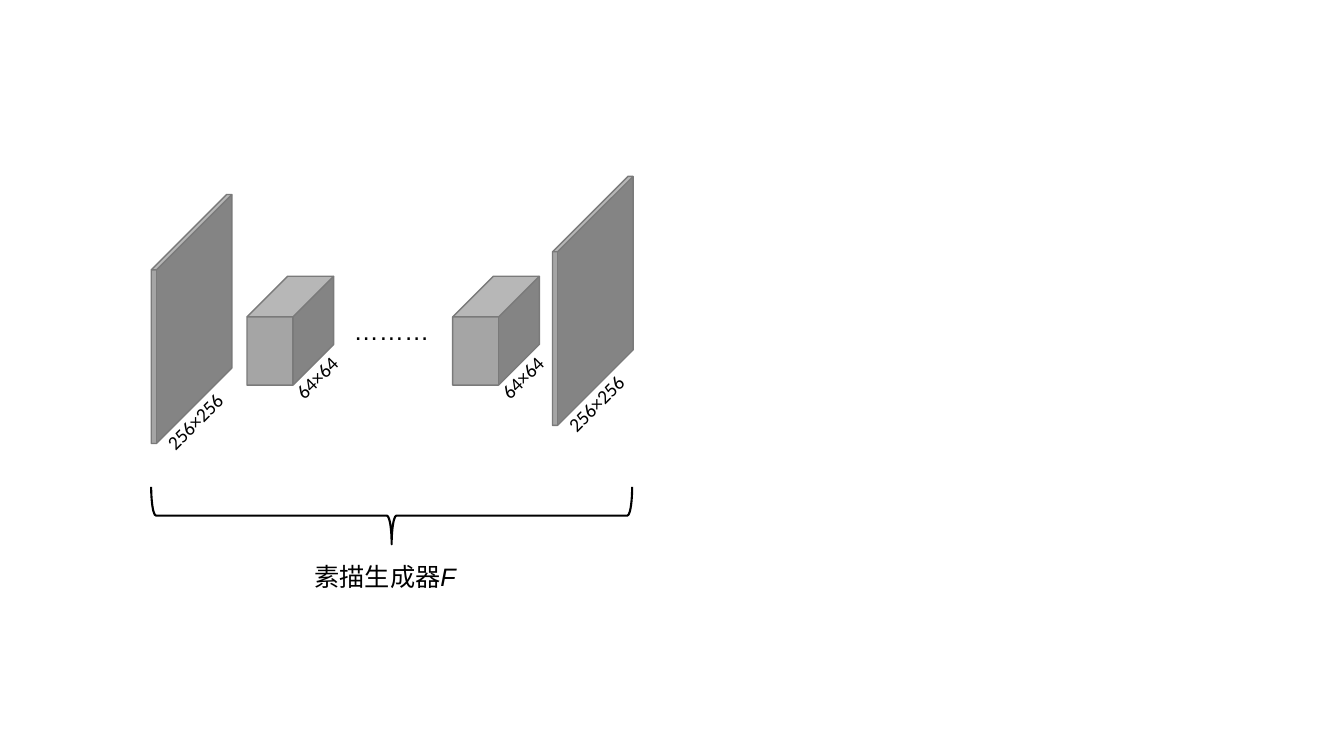
from pptx import Presentation
from pptx.dml.color import RGBColor
from pptx.enum.shapes import MSO_SHAPE as Preset
from pptx.enum.text import MSO_AUTO_SIZE as AutoSize
from pptx.util import Inches, Pt

BLACK = RGBColor(0x00, 0x00, 0x00)
GREY = RGBColor(0xA5, 0xA5, 0xA5)
DARK_GREY = RGBColor(0x7A, 0x7A, 0x7A)


class GeneratorSlide:
    cell = Inches(0.1)
    latin_font = "Calibri"
    symbol_font = "Arial"
    label_size = Pt(14)
    caption_size = Pt(18)

    def __init__(self, presentation):
        self.slide = presentation.slides.add_slide(presentation.slide_layouts[6])

    def place(self, *cells):
        return [round(value * self.cell) for value in cells]

    def group(self):
        return self.slide.shapes.add_group_shape().shapes

    def outline(self, shapes, preset, box, adjustment, color, width):
        shape = shapes.add_shape(preset, *self.place(*box))
        shape.shadow.inherit = False
        shape.adjustments[0] = adjustment
        shape.line.color.rgb = color
        shape.line.width = Pt(width)
        return shape

    def text(self, shapes, box, text, size, font, wrap=True):
        shape = shapes.add_textbox(*self.place(*box))
        frame = shape.text_frame
        frame.word_wrap = wrap
        frame.auto_size = AutoSize.SHAPE_TO_FIT_TEXT
        frame.text = text
        self.format(frame.paragraphs[0].runs[0], size, font)
        return shape

    def format(self, run, size, font):
        run.font.size = size
        run.font.name = font
        run.font.color.rgb = BLACK

    def layer(self, left, top, kind):
        width, height, depth, label_left, label_top, label = kind
        shapes = self.group()
        cube = self.outline(shapes, Preset.CUBE, (left, top, width, height), depth, DARK_GREY, 1)
        cube.fill.solid()
        cube.fill.fore_color.rgb = GREY
        box = (left + label_left, top + label_top, 14.3, 3.4)
        self.text(shapes, box, label, self.label_size, self.latin_font).rotation = 315

    def ellipsis(self, left, top):
        self.text(self.slide.shapes, (left, top, 9.5, 4), "………",
                  self.caption_size, self.symbol_font, wrap=False)

    def braced_caption(self, brace_box, caption_box, caption, symbol):
        shapes = self.group()
        brace = self.outline(shapes, Preset.LEFT_BRACE, brace_box, 0.0833, BLACK, 1.5)
        brace.fill.background()
        brace.rotation = 270
        shape = self.text(shapes, caption_box, caption, self.caption_size, self.latin_font)
        run = shape.text_frame.paragraphs[0].add_run()
        run.text = symbol
        self.format(run, self.caption_size, self.symbol_font)
        run.font.italic = True


def main():
    presentation = Presentation()
    presentation.slide_width = Inches(13.33)
    presentation.slide_height = Inches(7.5)
    diagram = GeneratorSlide(presentation)

    sheet = (8, 24.7, 0.936, -0.9, 18.9, "256×256")
    block = (8.6, 10.8, 0.469, 2.4, 5.8, "64×64")
    diagram.layer(15, 19.3, sheet)
    for left in (24.5, 44.9):
        diagram.layer(left, 27.4, block)
    diagram.ellipsis(34.1, 30.8)
    diagram.layer(54.8, 17.5, sheet)
    diagram.braced_caption((36, 27.3, 5.7, 47.7), (30.2, 55.2, 16.8, 4), "素描生成器", "F")

    presentation.save("out.pptx")


if __name__ == "__main__":
    main()
